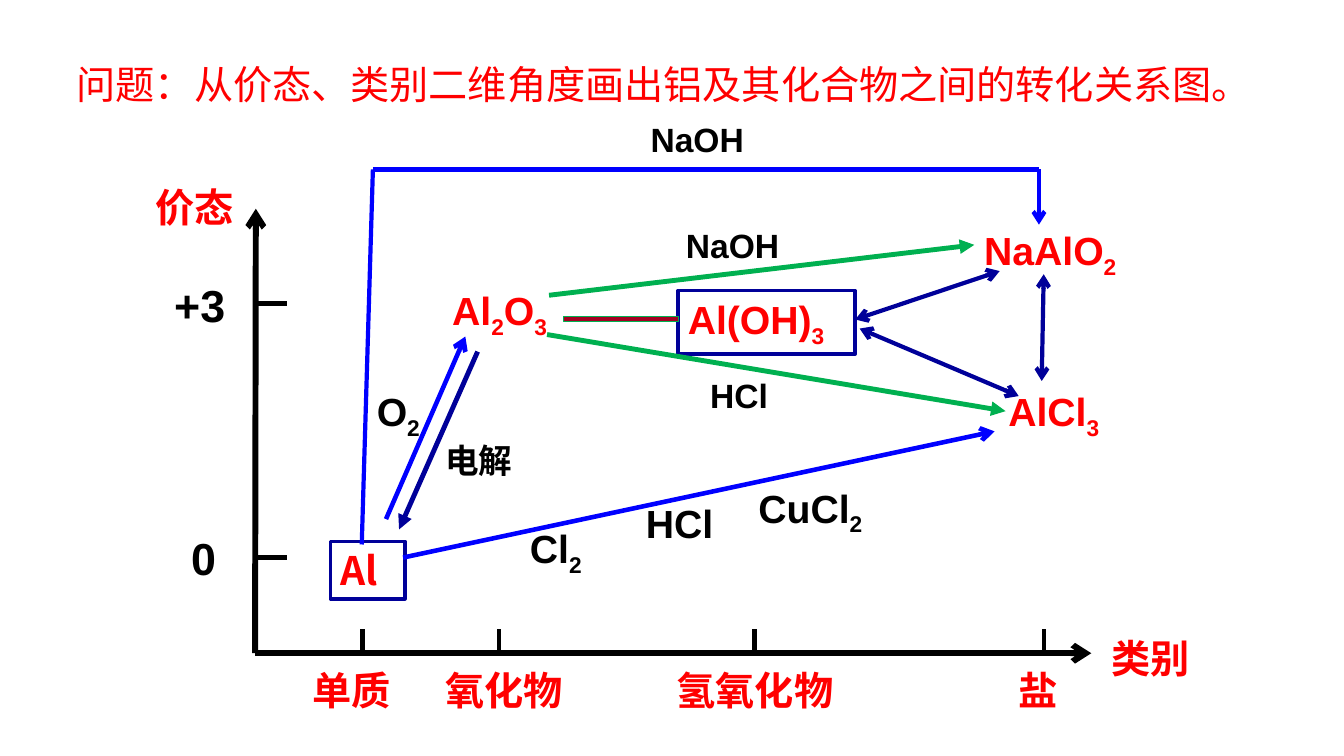
from lxml.etree import SubElement
from pptx import Presentation
from pptx.dml.color import RGBColor
from pptx.enum.shapes import MSO_CONNECTOR, MSO_SHAPE
from pptx.enum.text import MSO_ANCHOR, MSO_AUTO_SIZE, PP_ALIGN
from pptx.oxml.ns import qn
from pptx.util import Cm, Pt

RED = RGBColor(0xFF, 0x00, 0x00)
BLACK = RGBColor(0x00, 0x00, 0x00)
BLUE = RGBColor(0x00, 0x00, 0xFF)
NAVY = RGBColor(0x00, 0x00, 0x99)
GREEN = RGBColor(0x00, 0xB0, 0x50)
WINE = RGBColor(0xA5, 0x00, 0x21)
SANS, HAN = "Arial", "Noto Sans CJK SC"

TITLE = "问题：从价态、类别二维角度画出铝及其化合物之间的转化关系图。"

# Axes, in cm: origin, ends and tick places
LEFT, BASE = 6.43, 16.46
TOP, RIGHT = 5.26, 27.51
ROWS = [7.65, 14.05]
COLS = [9.14, 12.57, 19.02, 26.31]

# Labels: text, left, top, width; "_" lowers the next character
AXIS_TEXT = [
    ("单质", 7.62, 16.66, 2.77), ("氧化物", 10.97, 16.66, 6.12),
    ("氢氧化物", 16.81, 16.66, 4.75), ("盐", 25.43, 16.66, 1.65),
    ("价态", 3.66, 4.5, 2.92), ("类别", 27.76, 15.85, 4.39),
]
LEVELS = [("0", 4.57, 13.26, 1.75), ("+3", 4.14, 6.88, 2.24)]
SPECIES = [
    ("AlCl_3", 25.17, 9.63, 3.43), ("Al_2O_3", 11.15, 7.09, 3.38),
    ("NaAlO_2", 24.56, 5.59, 4.45),
]
AGENTS = [
    ("Cl_2", 13.11, 13.08, 3.99), ("HCl", 16.03, 12.45, 2.62),
    ("O_2", 9.25, 9.63, 1.8), ("CuCl_2", 18.87, 12.07, 3.56),
]
NOTES = [
    ("NaOH", 16.15, 2.87, 3.23), ("电解", 10.97, 10.97, 2.46),
    ("NaOH", 17.04, 5.54, 3.2), ("HCl", 17.65, 9.32, 2.46),
]
GROUPS = [(AXIS_TEXT, 28, RED), (LEVELS, 32, BLACK), (SPECIES, 28, RED),
          (AGENTS, 28, BLACK), (NOTES, 24, BLACK)]

# Framed species: text, left, top, width, height, font
FRAMED = [("Al", 8.33, 13.64, 1.88, 1.45, HAN),
          ("Al(OH)_3", 17.09, 7.32, 4.47, 1.6, SANS)]

# Links: x1, y1, x2, y2, colour, weight, head, tail
LINKS = [
    (9.73, 13.08, 11.73, 8.48, BLUE, 3.25, None, "arrow"),
    (10.16, 14.05, 25.07, 10.87, BLUE, 3.25, None, "arrow"),
    (9.4, 4.27, 9.12, 13.72, BLUE, 3, None, None),
    (9.4, 4.27, 26.19, 4.27, BLUE, 3, None, None),
    (26.19, 4.27, 26.19, 5.66, BLUE, 3, None, "arrow"),
    (26.31, 6.91, 26.26, 9.6, NAVY, 3, "arrow", "arrow"),
    (13.84, 7.44, 24.56, 6.17, GREEN, 3.5, None, "triangle"),
    (13.79, 8.43, 25.35, 10.36, GREEN, 3.5, None, "triangle"),
    (12.04, 8.86, 10.06, 13.34, NAVY, 3.5, None, "triangle"),
    (25.2, 6.83, 21.56, 8.05, NAVY, 3, "arrow", "arrow"),
    (25.68, 9.98, 21.67, 8.28, NAVY, 3, "arrow", "arrow"),
]


def write(frame, text, size, color, font, bold=True):
    """Fill a text frame, lowering each character that follows "_"."""
    frame.word_wrap = True
    frame.auto_size = MSO_AUTO_SIZE.NONE
    frame.vertical_anchor = MSO_ANCHOR.TOP
    para = frame.paragraphs[0]
    para.alignment = PP_ALIGN.LEFT
    first, *rest = text.split("_")
    para.add_run().text = first
    for part in rest:
        low = para.add_run()
        low.text = part[0]
        low._r.get_or_add_rPr().set("baseline", "-25000")
        if part[1:]:
            para.add_run().text = part[1:]
    para.font.size, para.font.bold, para.font.name = Pt(size), bold, font
    para.font.color.rgb = color
    props = para._p.pPr.find(qn("a:defRPr"))
    SubElement(props, qn("a:ea")).set("typeface", HAN)


def label(shapes, text, x, y, w, h, size, color, font=SANS):
    box = shapes.add_textbox(Cm(x), Cm(y), Cm(w), Cm(h))
    write(box.text_frame, text, size, color, font)
    return box


def link(shapes, x1, y1, x2, y2, color, weight, head=None, tail=None):
    line = shapes.add_connector(MSO_CONNECTOR.STRAIGHT,
                                Cm(x1), Cm(y1), Cm(x2), Cm(y2))
    line.line.color.rgb = color
    line.line.width = Pt(weight)
    props = line._element.spPr
    for tag, kind in (("a:headEnd", head), ("a:tailEnd", tail)):
        if kind:
            SubElement(props.find(qn("a:ln")), qn(tag)).set("type", kind)
    SubElement(props, qn("a:effectLst"))


def main():
    deck = Presentation()
    deck.slide_width, deck.slide_height = Cm(33.88), Cm(19.05)
    slide = deck.slides.add_slide(deck.slide_layouts[5])
    shapes = slide.shapes

    title = shapes.title
    title.left, title.top = Cm(1.68), Cm(1.4)
    title.width, title.height = Cm(30.68), Cm(1.45)
    write(title.text_frame, TITLE, 28, RED, HAN, bold=False)

    link(shapes, LEFT, BASE, LEFT + 0.02, TOP, BLACK, 4.25, tail="arrow")
    link(shapes, LEFT, BASE, RIGHT, BASE, BLACK, 4.25, tail="arrow")
    for y in ROWS:
        link(shapes, LEFT, y, LEFT + 0.81, y, BLACK, 3)
    for x in COLS:
        link(shapes, x, BASE - 0.61, x, BASE, BLACK, 3)

    for text, x, y, w, h, font in FRAMED:
        box = label(shapes, text, x, y, w, h, 28, RED, font)
        box.line.color.rgb = NAVY
        box.line.width = Pt(2.5)

    strip = shapes.add_shape(MSO_SHAPE.RECTANGLE,
                             Cm(14.2), Cm(7.97), Cm(2.9), Cm(0.13))
    strip.shadow.inherit = False
    strip.fill.solid()
    strip.fill.fore_color.rgb = WINE
    strip.line.color.rgb = GREEN
    strip.line.width = Pt(1)

    for row in LINKS:
        link(shapes, *row)
    for rows, size, color in GROUPS:
        for text, x, y, w in rows:
            h = 1.6 if "_" in text else size * 0.05 + 0.05
            label(shapes, text, x, y, w, h, size, color)

    deck.save("out.pptx")


if __name__ == "__main__":
    main()
